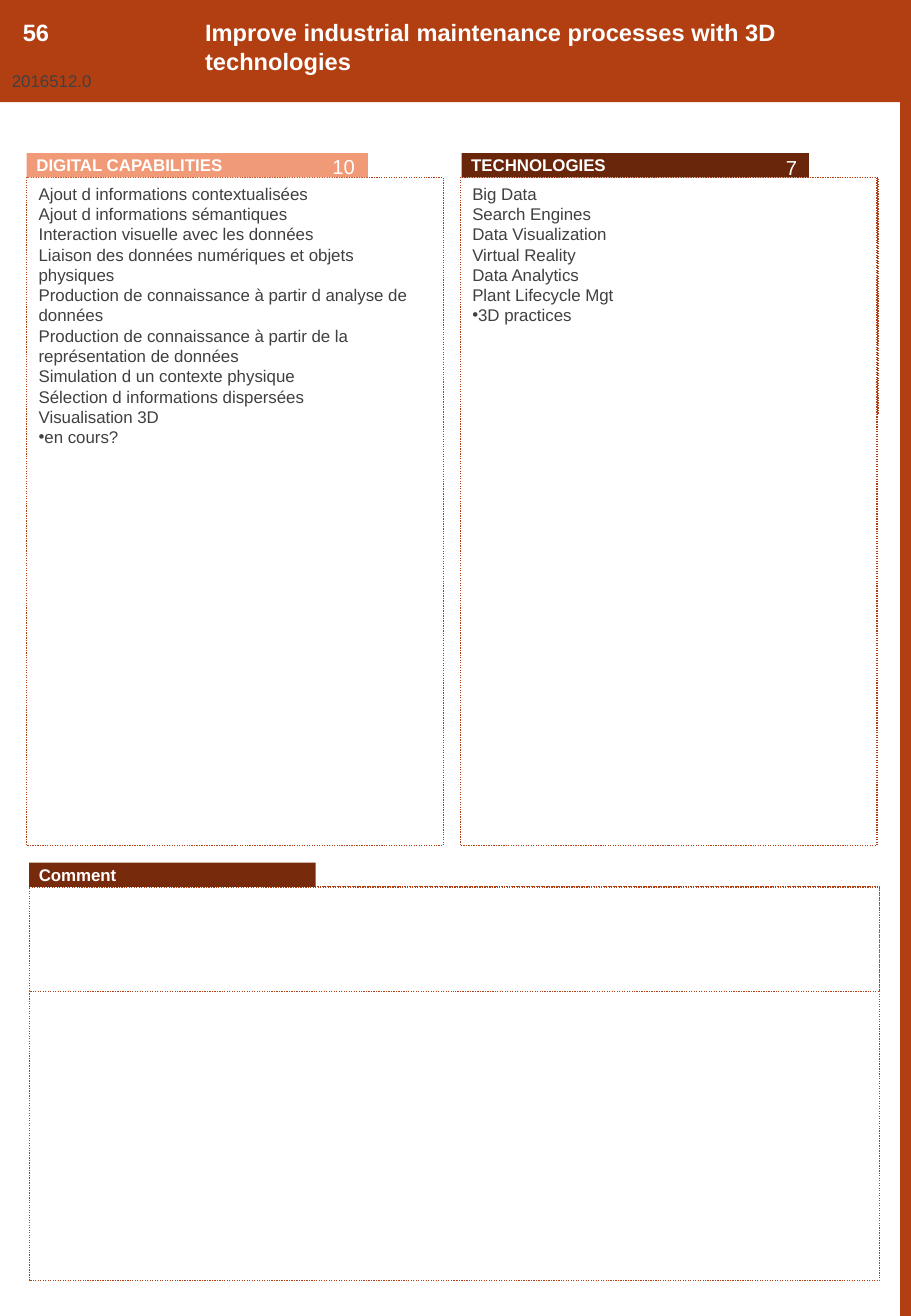
from pptx import Presentation
from pptx.dml.color import RGBColor
from pptx.enum.dml import MSO_LINE_DASH_STYLE as Dash
from pptx.enum.shapes import MSO_SHAPE as Shape
from pptx.enum.text import MSO_ANCHOR as Anchor, MSO_AUTO_SIZE as Fit, PP_ALIGN as Align
from pptx.util import Inches, Pt
from lxml import etree

# Grid: square cells, 75 columns across the page
COLS, ROWS = 75, 108.3
CELL = Inches(0.1)
RUST, WHITE, GREY = "B23F12", "FFFFFF", "404040"
A = "{http://schemas.openxmlformats.org/drawingml/2006/main}"

prs = Presentation()
prs.slide_width, prs.slide_height = int(COLS * CELL), int(ROWS * CELL)
s = prs.slides.add_slide(prs.slide_layouts[6])


def box(x, y, w, h, fill=None, dashed=False):
    """Place a rectangle, or a text box when there is no fill, in grid cells."""
    place = [int(v * CELL) for v in (x, y, w, h)]
    if fill is None:
        sp = s.shapes.add_textbox(*place)
    else:
        sp = s.shapes.add_shape(Shape.RECTANGLE, *place)
        sp.shadow.inherit = False
        sp.fill.solid()
        sp.fill.fore_color.rgb = RGBColor.from_string(fill)
        sp.line.fill.background()
    if dashed:
        sp.line.color.rgb = RGBColor.from_string(RUST)
        sp.line.width = Pt(0)
        sp.line.dash_style = Dash.SQUARE_DOT
        sp.line.dash_style = Dash.ROUND_DOT
    sp.text_frame.word_wrap = True
    sp.text_frame.vertical_anchor = Anchor.TOP
    return sp


def write(sp, lines, size, color, bold=False, align=Align.LEFT):
    """Write one paragraph per line and return the last one."""
    tf = sp.text_frame
    for i, line in enumerate(lines):
        p = tf.add_paragraph() if i else tf.paragraphs[0]
        p.alignment = align
        r = p.add_run()
        r.text = line
        r.font.name, r.font.size, r.font.bold = "Arial", Pt(size), bold
        r.font.color.rgb = RGBColor.from_string(color)
    return p


# Right edge band and the short panel behind the technologies
box(COLS - 0.9, 0, 0.9, ROWS, RUST)
box(38, 14.6, 34.3, 19.5, WHITE, dashed=True)

# List panels: x, items
technologies = ["Big Data", "Search Engines", "Data Visualization", "Virtual Reality",
                "Data Analytics", "Plant Lifecycle Mgt", "3D practices"]
capabilities = ["Ajout d informations contextualisées",
                "Ajout d informations sémantiques",
                "Interaction visuelle avec les données",
                "Liaison des données numériques et objets physiques",
                "Production de connaissance à partir d analyse de données",
                "Production de connaissance à partir de la représentation de données",
                "Simulation d un contexte physique",
                "Sélection d informations dispersées",
                "Visualisation 3D",
                "en cours?"]
for x, items in ((37.9, technologies), (2.2, capabilities)):
    last = write(box(x, 14.6, 34.3, 55, WHITE, dashed=True), items, 10, GREY)
    pPr = last._p.get_or_add_pPr()
    etree.SubElement(pPr, A + "buFont", typeface="Arial")
    etree.SubElement(pPr, A + "buChar", char="•")

# Comment panels
for h in (32.4, 8.6):
    box(2.4, 73, 70, h, WHITE, dashed=True)

# Section labels
for x, y, w, fill, label in ((38, 12.6, 28.6, "69260B", "TECHNOLOGIES"),
                             (2.2, 12.6, 28.1, "F19A78", "DIGITAL CAPABILITIES"),
                             (2.4, 71, 23.6, "772A0C", "Comment")):
    sp = box(x, y, w, 2, fill)
    tf = sp.text_frame
    tf.vertical_anchor = Anchor.MIDDLE
    tf.margin_left = tf.margin_right = Inches(0.08)
    write(sp, [label], 10, WHITE, bold=True)

# Item counts
for x, y, w, h, count in ((17.4, 12.2, 12.8, 2.9, "10"), (51.9, 12.3, 14.7, 4.7, "7")):
    sp = box(x, y, w, h)
    sp.text_frame.auto_size = Fit.SHAPE_TO_FIT_TEXT
    write(sp, [count], 12, WHITE, align=Align.RIGHT)

# Header band: title, number and reference
box(0, -0.1, COLS, 8.5, RUST)
title = "Improve industrial maintenance processes with 3D technologies"
for x, y, w, h, text, size, color in ((15.9, 1, 54.1, 3.4, title, 14, WHITE),
                                      (0.9, 1, 8, 3.4, "56", 14, WHITE),
                                      (0, 5.3, 10.6, 2.9, "2016512.0", 10, GREY)):
    write(box(x, y, w, h, RUST), [text], size, color, bold=color == WHITE)

prs.save("out.pptx")
